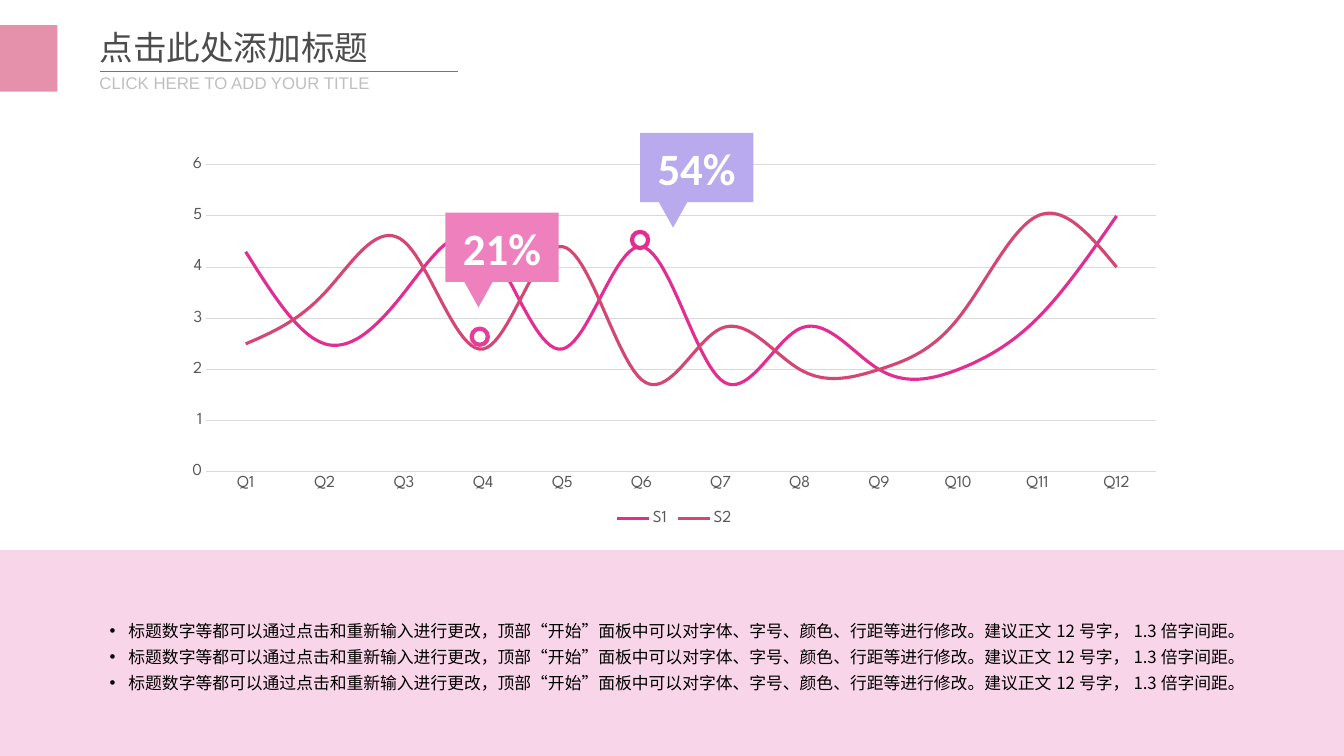
from collections import namedtuple

from lxml.etree import SubElement
from pptx import Presentation
from pptx.chart.data import CategoryChartData
from pptx.dml.color import RGBColor
from pptx.enum.chart import XL_CHART_TYPE as ChartType
from pptx.enum.chart import XL_LEGEND_POSITION as LegendPosition
from pptx.enum.chart import XL_MARKER_STYLE as Marker
from pptx.enum.chart import XL_TICK_MARK as Tick
from pptx.enum.shapes import MSO_CONNECTOR as Connector
from pptx.enum.shapes import MSO_SHAPE as Shape
from pptx.enum.text import MSO_ANCHOR as Anchor
from pptx.enum.text import MSO_AUTO_SIZE as AutoSize
from pptx.enum.text import PP_ALIGN as Align
from pptx.oxml.ns import qn
from pptx.util import Pt

Box = namedtuple("Box", "left top width height")

WHITE = RGBColor(0xFF, 0xFF, 0xFF)
BLACK = RGBColor(0x00, 0x00, 0x00)
TITLE_GREY = RGBColor(0x4C, 0x4C, 0x4C)
SUBTITLE_GREY = RGBColor(0xBF, 0xBF, 0xBF)
LABEL_GREY = RGBColor(0x59, 0x59, 0x59)
GRID_GREY = RGBColor(0xD9, 0xD9, 0xD9)
MAGENTA = RGBColor(0xE3, 0x2D, 0x91)
LIGHT_MAGENTA = RGBColor(0xE5, 0x3D, 0x9A)
ROSE = RGBColor(0xD5, 0x47, 0x73)
SOFT_ROSE = RGBColor(0xE6, 0x91, 0xAB)
PINK = RGBColor(0xEE, 0x81, 0xBD)
PALE_PINK = RGBColor(0xF9, 0xD5, 0xE9)
LILAC = RGBColor(0xB8, 0xAA, 0xED)

CHART_FONT = "League Spartan"
CJK_FONT = "Noto Sans CJK SC"
SERIES = [
    ("S1", MAGENTA, (4.3, 2.5, 3.5, 4.5, 2.4, 4.4, 1.8, 2.8, 2, 2, 3, 5)),
    ("S2", ROSE, (2.5, 3.5, 4.5, 2.4, 4.4, 1.8, 2.8, 2, 2, 3, 5, 4)),
]
NOTE = ("标题数字等都可以通过点击和重新输入进行更改，顶部“开始”面板中可以对字体、字号、"
        "颜色、行距等进行修改。建议正文12号字，1.3倍字间距。")


def in_points(box):
    """Turn a box into four lengths."""
    return [Pt(length) for length in box]


def style_font(font, name, size, color, bold=False):
    """Set the face, size, colour and weight of a font."""
    font.name, font.size, font.bold = name, Pt(size), bold
    font.color.rgb = color


def add_filled(page, kind, box, fill, line=None):
    """Add a flat preset shape, outlined only when a line colour is given."""
    shape = page.shapes.add_shape(kind, *in_points(box))
    shape.shadow.inherit = False
    shape.fill.solid()
    shape.fill.fore_color.rgb = fill
    if line is None:
        shape.line.fill.background()
    else:
        shape.line.color.rgb = line
        shape.line.width = Pt(3)
    return shape


def add_text(page, box, text, name, size, color, wrap=True):
    """Add a text box with one font and return its frame."""
    frame = page.shapes.add_textbox(*in_points(box)).text_frame
    frame.word_wrap = wrap
    frame.auto_size = AutoSize.SHAPE_TO_FIT_TEXT
    frame.text = text
    for para in frame.paragraphs:
        for span in para.runs:
            style_font(span.font, name, size, color)
            SubElement(span.font._element, qn("a:ea"), typeface=CJK_FONT)
    return frame


def add_header(page, box):
    """Place the edge block, title, rule and subtitle."""
    left, top, width, height = box
    add_filled(page, Shape.RECTANGLE, Box(left, top + 2, 41, 47.5), SOFT_ROSE)
    add_text(page, Box(left + 64, top, 208, 36), "点击此处添加标题",
             "Arial", 24, TITLE_GREY, wrap=False)
    add_text(page, Box(left + 64, top + 32.4, 302, 21.6),
             "CLICK HERE TO ADD YOUR TITLE", "Arial", 12, SUBTITLE_GREY)
    rule = page.shapes.add_connector(
        Connector.STRAIGHT, Pt(left + 71.2), Pt(top + 35.2),
        Pt(left + width), Pt(top + 35.2))
    rule.line.color.rgb = ROSE
    rule.line.width = Pt(0.5)
    SubElement(rule._element.spPr, qn("a:effectLst"))


def add_trend_chart(page, box):
    """Fill the box with the quarterly line chart."""
    data = CategoryChartData()
    data.categories = [f"Q{number}" for number in range(1, 13)]
    for name, _, values in SERIES:
        data.add_series(name, values)
    chart = page.shapes.add_chart(ChartType.LINE, *in_points(box), data).chart
    style_font(chart.font, CHART_FONT, 10, BLACK)
    chart.has_title = False
    chart.has_legend = True
    chart.legend.position = LegendPosition.BOTTOM
    chart.legend.include_in_layout = False
    style_font(chart.legend.font, CHART_FONT, 12, LABEL_GREY)
    chart.plots[0].vary_by_categories = False
    for series, (_, color, _) in zip(chart.plots[0].series, SERIES):
        series.smooth = True
        series.marker.style = Marker.NONE
        series.format.line.color.rgb = color
        series.format.line.width = Pt(2.25)

    quarters, scale = chart.category_axis, chart.value_axis
    for axis in (quarters, scale):
        axis.major_tick_mark = axis.minor_tick_mark = Tick.NONE
        style_font(axis.tick_labels.font, CHART_FONT, 12, LABEL_GREY)
    scale.minimum_scale, scale.maximum_scale, scale.major_unit = 0, 6, 1
    scale.has_major_gridlines = True
    scale.format.line.fill.background()
    for line in (quarters.format.line, scale.major_gridlines.format.line):
        line.color.rgb = GRID_GREY
        line.width = Pt(0.75)


def add_callout(page, box, text, fill):
    """Add a percentage callout with its pointer below."""
    callout = add_filled(page, Shape.RECTANGULAR_CALLOUT, box, fill)
    callout.adjustments[0], callout.adjustments[1] = -0.208, 0.867
    frame = callout.text_frame
    frame.text = text
    frame.vertical_anchor = Anchor.MIDDLE
    para = frame.paragraphs[0]
    para.alignment = Align.CENTER
    style_font(para.runs[0].font, "Calibri", 32, WHITE, bold=True)


def add_highlights(page, box):
    """Mark two points of the chart, with offsets from its box."""
    marks = [
        ("54%", LILAC, (334.1, -11.6), MAGENTA, (328.3, 59)),
        ("21%", PINK, (195.1, 45.3), LIGHT_MAGENTA, (213.8, 128.1)),
    ]
    for text, fill, callout_at, ring_color, ring_at in marks:
        ring = Box(box.left + ring_at[0], box.top + ring_at[1], 11.6, 11.6)
        add_filled(page, Shape.OVAL, ring, WHITE, ring_color)
        callout = Box(box.left + callout_at[0], box.top + callout_at[1],
                      80.9, 49.5)
        add_callout(page, callout, text, fill)


def add_notes_band(page, box):
    """Fill the lower band and place three bulleted notes in it."""
    add_filled(page, Shape.RECTANGLE, box, PALE_PINK)
    frame = add_text(page, Box(box.left + 71.2, box.top + 42.5, 833, 64),
                     "\n".join([NOTE] * 3), CJK_FONT, 12, BLACK)
    for para in frame.paragraphs:
        para.line_spacing = 1.3
        settings = para._p.get_or_add_pPr()
        settings.set("marL", str(Pt(13.5)))
        settings.set("indent", str(-Pt(13.5)))
        SubElement(settings, qn("a:buFont"), typeface="Arial")
        SubElement(settings, qn("a:buChar"), char="•")


def build_deck():
    """Build the one-page deck."""
    deck = Presentation()
    deck.slide_width, deck.slide_height = Pt(960), Pt(540)
    page = deck.slides.add_slide(deck.slide_layouts[6])
    chart_box = Box(123.1, 106.6, 717.1, 272.2)
    add_trend_chart(page, chart_box)
    add_highlights(page, chart_box)
    add_notes_band(page, Box(0, 393, 960, 147))
    add_header(page, Box(0, 16, 327, 54))
    return deck


build_deck().save("out.pptx")
